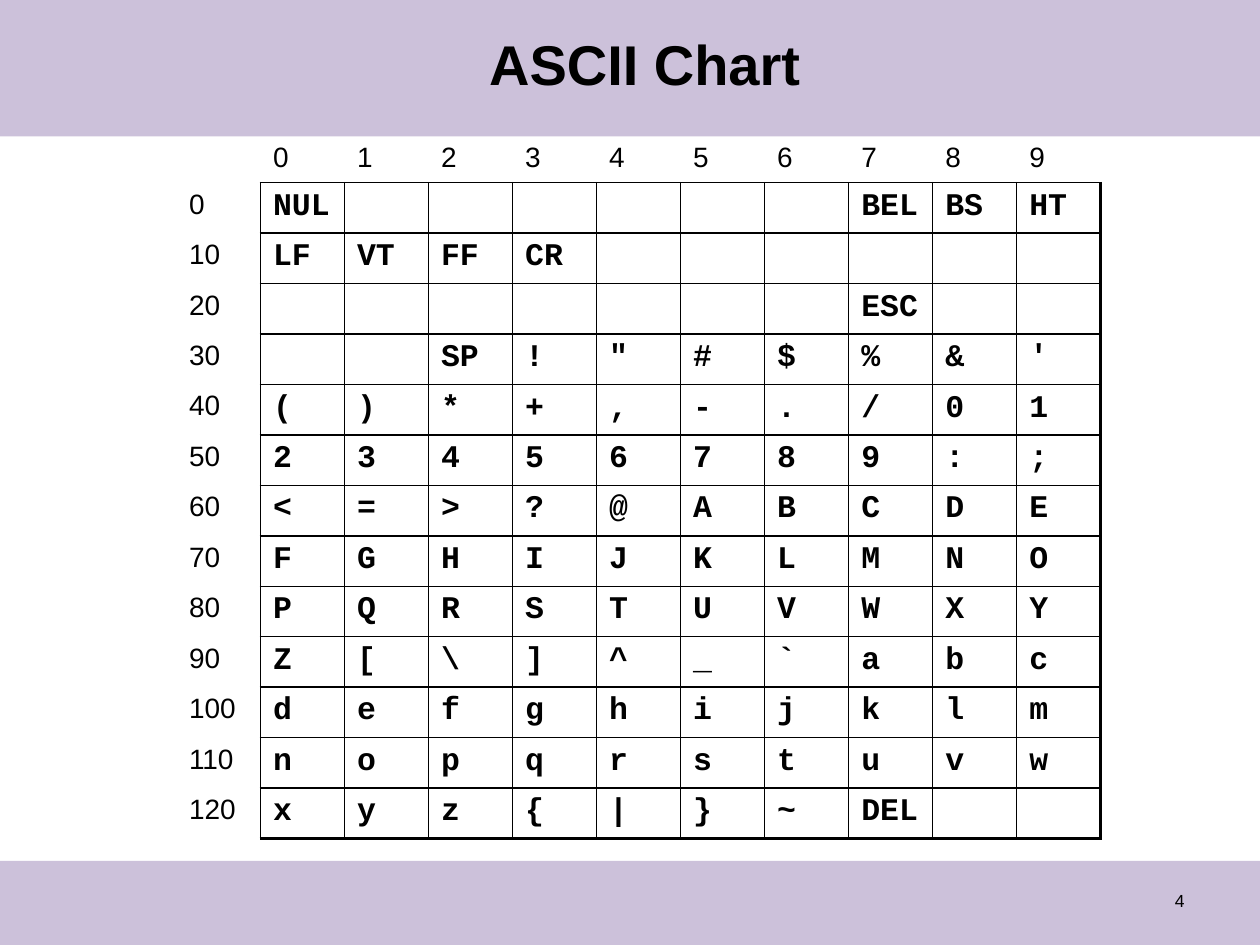
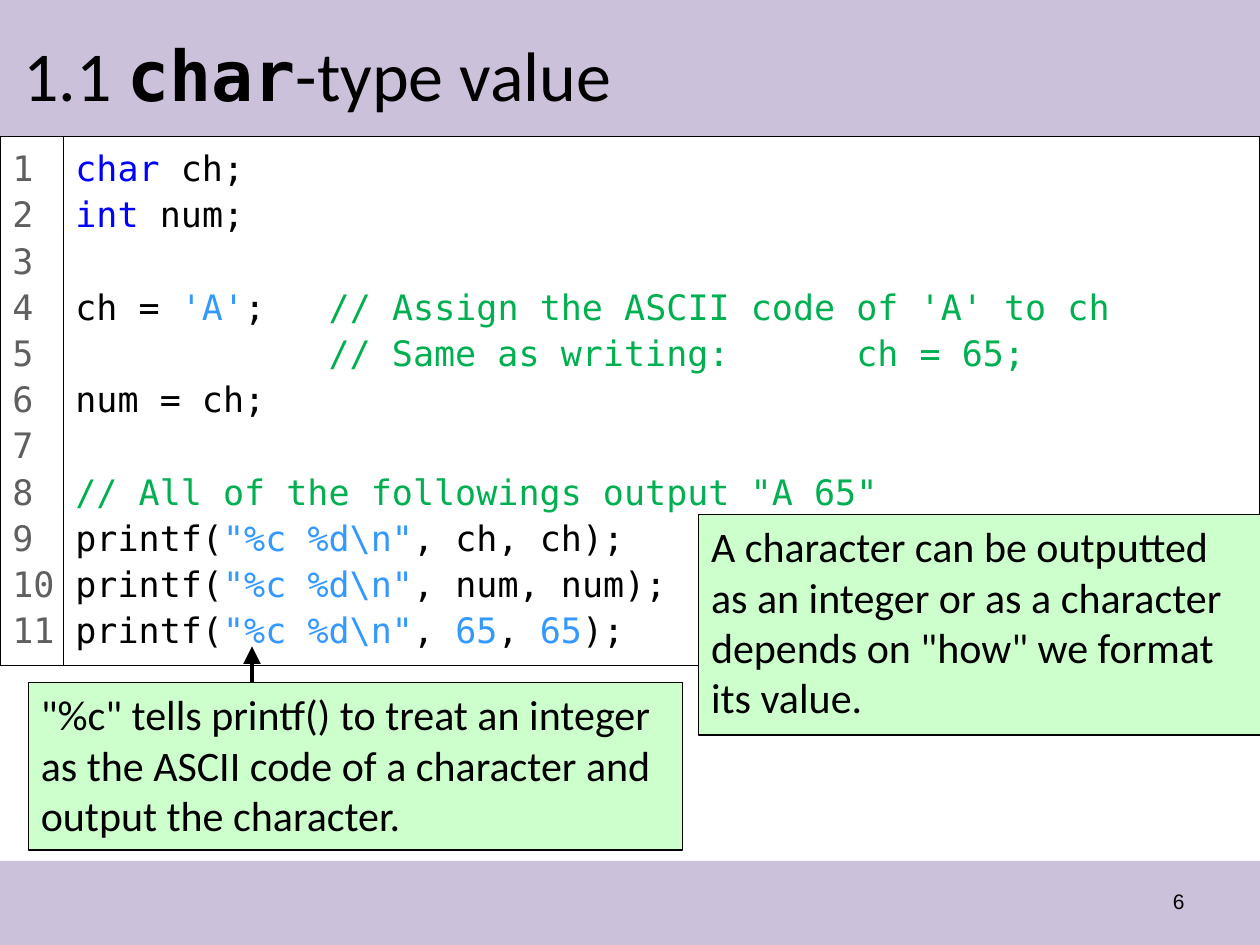
from dataclasses import dataclass

from lxml import etree
from pptx import Presentation, util as u
from pptx.dml.color import RGBColor
from pptx.enum import shapes, text
from pptx.oxml import ns


@dataclass(frozen=True)
class Theme:
    band: str = "CCC1DA"
    paper: str = "FFFFFF"
    ink: str = "000000"
    note: str = "CCFFCC"
    gutter: str = "5F5F5F"
    keyword: str = "0000FF"
    literal: str = "3399FF"
    comment: str = "00B050"
    sans: str = "Arial"
    body: str = "Calibri"
    code: str = "DejaVu Sans Mono"
    cells: str = "Courier New"
    title_size: int = 40
    chart_title_size: int = 32
    note_size: int = 24
    code_size: int = 20
    cell_size: int = 18
    label_size: int = 16


THEME = Theme()

# The slide is a grid of 100 columns by 75 rows
COLUMNS, ROWS = 100, 75
UNIT = u.Inches(0.1)
BAND_ROWS = 10.83
CODE_ROWS = 42

CONTROL_NAMES = {0: "NUL", 7: "BEL", 8: "BS", 9: "HT", 10: "LF", 11: "VT",
                 12: "FF", 13: "CR", 27: "ESC", 32: "SP", 127: "DEL"}

# Each code line is a list of (kind, text) pieces
FORMAT = ("literal", r'"%c %d\n"')
CODE = [
    [("keyword", "char "), ("ink", "ch;")],
    [("keyword", "int "), ("ink", "num;")],
    [],
    [("ink", "ch = "), ("literal", "'A'"), ("ink", ";   "),
     ("comment", "// Assign the ASCII code of 'A' to ch")],
    [("comment", "            // Same as writing:      ch = 65;")],
    [("ink", "num = ch;")],
    [],
    [("comment", '// All of the followings output "A 65"')],
    [("ink", "printf("), FORMAT, ("ink", ", ch, ch);")],
    [("ink", "printf("), FORMAT, ("ink", ", num, num);")],
    [("ink", "printf("), FORMAT, ("ink", ", "), ("literal", "65"),
     ("ink", ", "), ("literal", "65"), ("ink", ");")],
]


def grid(*cells):
    return [round(cell * UNIT) for cell in cells]


def color(value):
    return RGBColor.from_string(value)


def add_span(para, words, font=THEME.sans, size=18, ink=THEME.ink, bold=False):
    span = para.add_run()
    span.text = words
    span.font.name = font
    span.font.size = u.Pt(size)
    span.font.bold = bold
    span.font.color.rgb = color(ink)


def size_empty(para, font, size):
    """Give a line without text its font, which sets its height."""
    end = etree.SubElement(para._p, ns.qn("a:endParaRPr"), sz=str(size * 100))
    etree.SubElement(end, ns.qn("a:latin"), typeface=font)


def add_text(page, frame, words="", align=None, middle=False, wrap=True, **style):
    box = page.shapes.add_textbox(*grid(*frame))
    box.text_frame.word_wrap = wrap
    if middle:
        box.text_frame.vertical_anchor = text.MSO_ANCHOR.MIDDLE
    para = box.text_frame.paragraphs[0]
    if align:
        para.alignment = align
    if words:
        add_span(para, words, **style)
    return para


def add_panel(page, frame, fill, outlined=True):
    panel = page.shapes.add_shape(shapes.MSO_SHAPE.RECTANGLE, *grid(*frame))
    panel.shadow.inherit = False
    panel.fill.solid()
    panel.fill.fore_color.rgb = color(fill)
    if outlined:
        panel.line.color.rgb = color(THEME.ink)
        panel.line.width = u.Pt(0.75)
    else:
        panel.line.fill.background()
    panel.text_frame.word_wrap = True
    panel.text_frame.vertical_anchor = text.MSO_ANCHOR.TOP
    panel.text_frame.paragraphs[0].alignment = text.PP_ALIGN.LEFT
    return panel


def add_note(page, frame, words):
    para = add_panel(page, frame, THEME.note).text_frame.paragraphs[0]
    add_span(para, words, font=THEME.body, size=THEME.note_size)


def add_code(panel, lines):
    frame = panel.text_frame
    for index, pieces in enumerate(lines):
        para = frame.add_paragraph() if index else frame.paragraphs[0]
        para.alignment = text.PP_ALIGN.LEFT
        para.line_spacing = 1.1
        for kind, words in pieces:
            add_span(para, words, font=THEME.code, size=THEME.code_size,
                     ink=getattr(THEME, kind))
        if not pieces:
            size_empty(para, THEME.code, THEME.code_size)


def add_arrow(page, start, end):
    arrow = page.shapes.add_connector(shapes.MSO_CONNECTOR.STRAIGHT,
                                      *grid(*start, *end))
    arrow.line.color.rgb = color(THEME.ink)
    arrow.line.width = u.Pt(2)
    etree.SubElement(arrow.line._get_or_add_ln(), ns.qn("a:tailEnd"),
                     type="triangle", w="lg", len="lg")
    etree.SubElement(arrow._element.spPr, ns.qn("a:effectLst"))


def set_borders(cell, **widths):
    """Draw the named sides (L, R, T, B) in points; leave the others bare."""
    properties = cell._tc.get_or_add_tcPr()
    for index, side in enumerate("LRTB"):
        width = widths.get(side, 0)
        line = etree.Element(ns.qn(f"a:ln{side}"), w=str(u.Pt(width or 1)))
        if width:
            fill = etree.SubElement(line, ns.qn("a:solidFill"))
            etree.SubElement(fill, ns.qn("a:srgbClr"), val=THEME.ink)
        else:
            etree.SubElement(line, ns.qn("a:noFill"))
        properties.insert(index, line)


def add_page(deck, number, number_size):
    page = deck.slides.add_slide(deck.slide_layouts[6])
    page.background.fill.solid()
    page.background.fill.fore_color.rgb = color(THEME.paper)
    for top, height in ((0, BAND_ROWS), (68.33, 6.67)):
        add_panel(page, (0, top, COLUMNS, height), THEME.band, outlined=False)
    add_text(page, (71.7, 69.5, 23.3, 4), str(number), middle=True,
             align=text.PP_ALIGN.RIGHT, size=number_size)
    return page


def ascii_name(code):
    if code in CONTROL_NAMES:
        return CONTROL_NAMES[code]
    return chr(code) if 32 < code < 127 else ""


def add_ascii_table(page, tens=13, units=10):
    column, header, row = 6.67, 3.2, 3.5
    frame = grid(14, BAND_ROWS, column * (units + 1), header + row * tens)
    table = page.shapes.add_table(tens + 1, units + 1, *frame).table
    table.first_row = table.horz_banding = False
    for index, line in enumerate(table.rows):
        line.height = grid(row if index else header)[0]
    for line in range(tens + 1):
        for place in range(units + 1):
            cell = table.cell(line, place)
            cell.fill.background()
            style = dict(size=THEME.label_size)
            if line and place:
                words = ascii_name((line - 1) * units + place - 1)
                style = dict(font=THEME.cells, size=THEME.cell_size, bold=True)
                set_borders(cell, L=1, T=1, R=2.25 if place == units else 1,
                            B=2.25 if line == tens else 1)
            elif line:
                words = str((line - 1) * units)
                set_borders(cell, R=1)
            elif place:
                words = str(place - 1)
                set_borders(cell, B=1)
            else:
                words = ""
                set_borders(cell)
            para = cell.text_frame.paragraphs[0]
            if words:
                add_span(para, words, **style)
            else:
                size_empty(para, THEME.sans, THEME.label_size)


def build_ascii_page(deck):
    page = add_page(deck, 4, 10)
    add_ascii_table(page)
    add_text(page, (37.83, 1.85, 26.9, 6.4), "ASCII Chart", wrap=False,
             size=THEME.chart_title_size, bold=True)


def build_char_page(deck):
    page = add_page(deck, 6, 12)
    title = add_text(page, (0.85, 1.7, 98.3, 8.3), middle=True)
    for words, font in (("1.1 ", THEME.body), ("char", THEME.code),
                        ("-type value", THEME.body)):
        add_span(title, words, font=font, size=THEME.title_size,
                 bold=font == THEME.code)

    # Code listing with its line numbers
    listing = add_panel(page, (5, BAND_ROWS, 95, CODE_ROWS), THEME.paper)
    add_code(listing, CODE)
    gutter = add_panel(page, (0, BAND_ROWS, 5.05, CODE_ROWS), THEME.paper)
    gutter.text_frame.margin_right = 0
    add_code(gutter, [[("gutter", str(index + 1))] for index in range(len(CODE))])

    # Remarks
    add_note(page, (2.25, 54.17, 51.9, 13.3),
             '"%c" tells printf() to treat an integer as the ASCII code of '
             'a character and output the character.')
    add_arrow(page, (20, 54.17), (20, 51.3))
    add_note(page, (55.45, 40.83, 44.7, 17.5),
             'A character can be outputted as an integer or as a character '
             'depends on "how" we format its value.')


def main():
    deck = Presentation()
    deck.slide_width, deck.slide_height = grid(COLUMNS, ROWS)
    build_ascii_page(deck)
    build_char_page(deck)
    deck.save("out.pptx")


if __name__ == "__main__":
    main()
